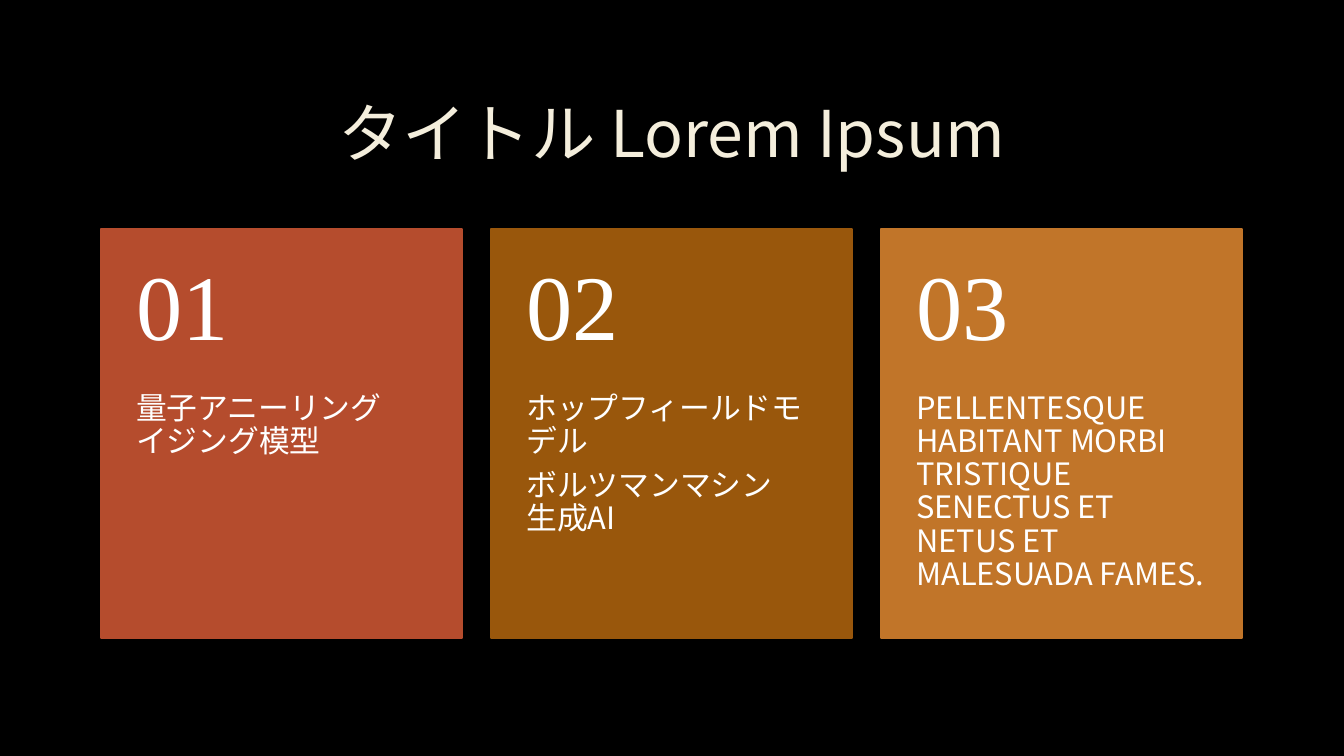
import pptx
import pptx.util
import pptx.dml.color
import pptx.enum.shapes
import pptx.enum.text
import pptx.oxml
import pptx.oxml.ns

COLORS = {
    "black": "000000", "cream": "F4EEDC", "white": "FFFFFF", "outline": "404040",
    "red": "B54C2D", "brown": "99570C", "orange": "C17529",
}
SANS, SERIF = "Noto Sans CJK JP", "Times New Roman"
ANCHOR = pptx.enum.text.MSO_ANCHOR
ALIGN = pptx.enum.text.PP_ALIGN
CARDS = [
    ("01", "red", ["量子アニーリング　イジング模型"]),
    ("02", "brown", ["ホップフィールドモデル", "ボルツマンマシン　生成AI"]),
    ("03", "orange", ["PELLENTESQUE HABITANT MORBI TRISTIQUE SENECTUS ET NETUS ET MALESUADA FAMES."]),
]


def color(name):
    return pptx.dml.color.RGBColor.from_string(COLORS[name])


def assign(target, values):
    for name, value in values.items():
        setattr(target, name, value)


class CardSlide:
    left, top, column, pitch, height = 1, 2.27, 3.58, 3.87, 4.06
    number_share = 0.4

    def __init__(self, deck):
        self.page = deck.slides.add_slide(deck.slide_layouts[5])
        fill = self.page.background.fill
        fill.solid()
        fill.fore_color.rgb = color("black")

    def area(self, column, start=0, share=1):
        return [pptx.util.Inches(length) for length in (
            self.left + column * self.pitch, self.top + start * self.height,
            self.column, share * self.height)]

    def fill_text(self, box, texts, font, size, tone, frame, layout):
        assign(box.text_frame, {"word_wrap": True,
                                "auto_size": pptx.enum.text.MSO_AUTO_SIZE.NONE, **frame})
        for index, text in enumerate(texts):
            para = box.text_frame.paragraphs[0] if index == 0 else box.text_frame.add_paragraph()
            assign(para, {"line_spacing": 0.9, **layout})
            span = para.add_run()
            span.text = text
            assign(span.font, {"size": pptx.util.Pt(size), "name": font})
            span.font.color.rgb = color(tone)
            east = pptx.oxml.parse_xml(
                f'<a:ea {pptx.oxml.ns.nsdecls("a")} typeface="{font}"/>')
            span.font._element.append(east)

    def title(self, text):
        box = self.page.shapes.title
        assign(box, dict(zip(("left", "top", "width", "height"),
                             map(pptx.util.Inches, (self.left, 0.67, 11.32, 1.38)))))
        self.fill_text(box, [text], SANS, 46, "cream", {"vertical_anchor": ANCHOR.MIDDLE},
                       {"alignment": ALIGN.CENTER})
        outline = pptx.oxml.parse_xml(
            f'<a:ln {pptx.oxml.ns.nsdecls("a")} w="9525"><a:solidFill>'
            f'<a:srgbClr val="{COLORS["outline"]}"><a:alpha val="10000"/></a:srgbClr>'
            '</a:solidFill></a:ln>')
        box.text_frame.paragraphs[0].runs[0].font._element.insert(0, outline)

    def panel(self, group, column, tone):
        panel = group.shapes.add_shape(pptx.enum.shapes.MSO_SHAPE.RECTANGLE, *self.area(column))
        panel.shadow.inherit = False
        panel.fill.solid()
        panel.fill.fore_color.rgb = color(tone)
        panel.line.color.rgb = color(tone)
        panel.line.width = pptx.util.Pt(1.25)

    def text(self, group, area, texts, font, size, anchor, top, bottom):
        box = group.shapes.add_textbox(*area)
        frame = {"vertical_anchor": anchor,
                 "margin_left": pptx.util.Inches(0.35), "margin_right": pptx.util.Inches(0.35),
                 "margin_top": pptx.util.Inches(top), "margin_bottom": pptx.util.Inches(bottom)}
        layout = {"alignment": ALIGN.LEFT, "space_after": pptx.util.Pt(0.35 * size)}
        self.fill_text(box, texts, font, size, "white", frame, layout)

    def card(self, column, number, tone, texts):
        group = self.page.shapes.add_group_shape()
        self.panel(group, column, tone)
        self.text(group, self.area(column, self.number_share, 1 - self.number_share),
                  texts, SANS, 22, ANCHOR.TOP, 0, 0.36)
        self.text(group, self.area(column, 0, self.number_share),
                  [number], SERIF, 66, ANCHOR.MIDDLE, 0.18, 0.18)


def main():
    deck = pptx.Presentation()
    assign(deck, {"slide_width": pptx.util.Inches(13.33), "slide_height": pptx.util.Inches(7.5)})
    slide = CardSlide(deck)
    slide.title("タイトル Lorem Ipsum")
    for column, (number, tone, texts) in enumerate(CARDS):
        slide.card(column, number, tone, texts)
    deck.save("out.pptx")


if __name__ == "__main__":
    main()
